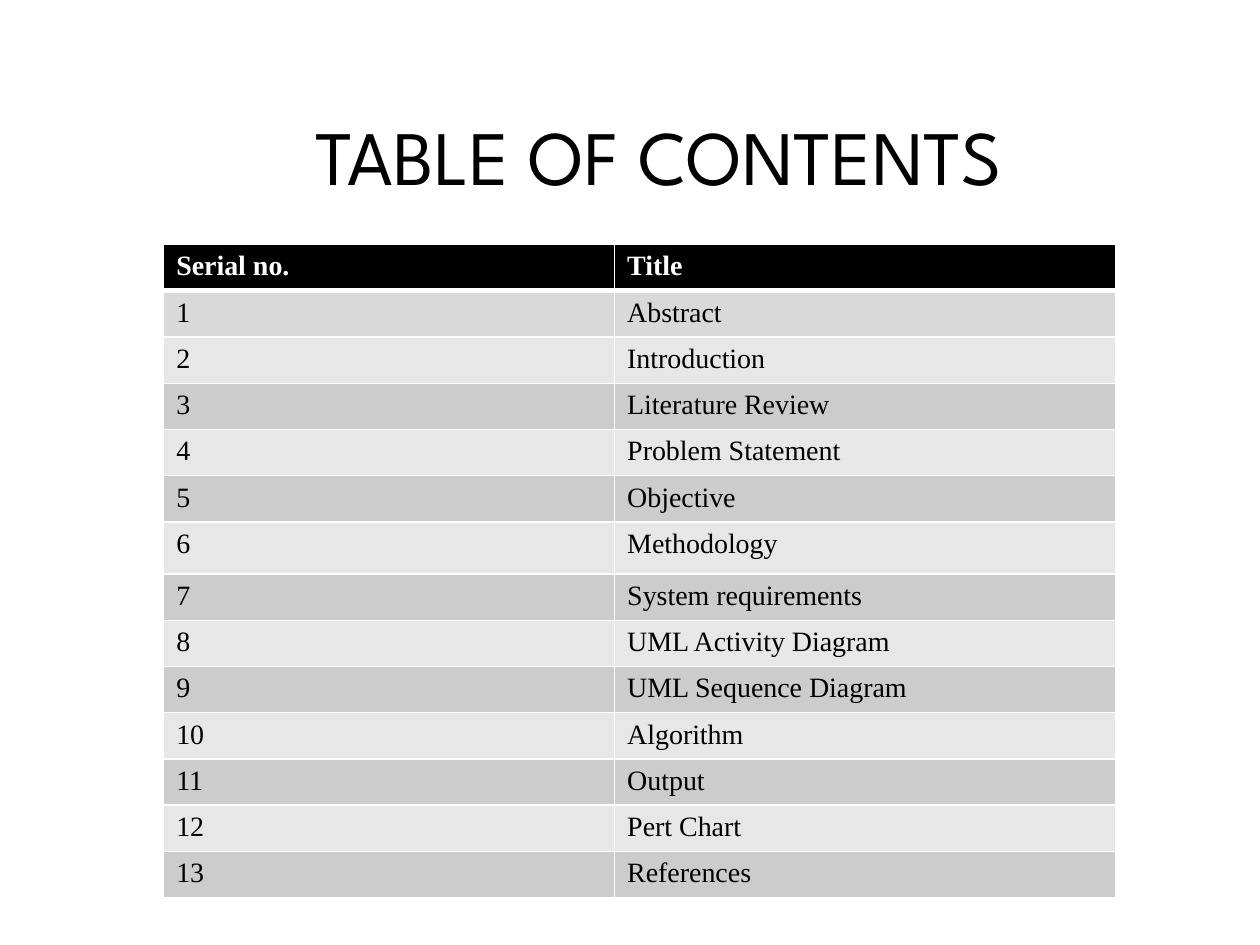
import dataclasses

import pptx
import pptx.dml.color
import pptx.enum.text
import pptx.oxml
import pptx.oxml.ns
import pptx.util
from pptx.util import Cm


@dataclasses.dataclass(frozen=True)
class Theme:
    title_font: str = "League Spartan"
    body_font: str = "Times New Roman"
    title_size: int = 44
    body_size: int = 16
    black: str = "000000"
    white: str = "FFFFFF"
    first_row: str = "D9D9D9"
    odd_row: str = "CCCCCC"
    even_row: str = "E7E7E7"


theme = Theme()


def add_run(paragraph, text, font, size, color, bold=False):
    run = paragraph.add_run()
    run.text = text
    run.font.name = font
    run.font.size = pptx.util.Pt(size)
    run.font.bold = bold
    run.font.color.rgb = pptx.dml.color.RGBColor.from_string(color)


def add_borders(cell, widths):
    """Give a cell white borders; widths maps each side (L, R, T, B) to points."""
    properties = cell._tc.get_or_add_tcPr()
    for side, width in widths.items():
        properties.append(pptx.oxml.parse_xml(
            f'<a:ln{side} {pptx.oxml.ns.nsdecls("a")} w="{pptx.util.Pt(width)}">'
            f'<a:solidFill><a:srgbClr val="{theme.white}"/></a:solidFill></a:ln{side}>'
        ))


presentation = pptx.Presentation()
presentation.slide_width = Cm(25.4)
presentation.slide_height = Cm(19.05)
slide = presentation.slides.add_slide(presentation.slide_layouts[6])

# Title, set slightly right of centre by its left margin
title = slide.shapes.add_textbox(Cm(1.09), Cm(1.52), Cm(22.86), Cm(3.18))
frame = title.text_frame
frame.word_wrap = True
frame.vertical_anchor = pptx.enum.text.MSO_ANCHOR.MIDDLE
frame.margin_left = Cm(1.8)
paragraph = frame.paragraphs[0]
paragraph.alignment = pptx.enum.text.PP_ALIGN.CENTER
add_run(paragraph, "TABLE OF CONTENTS", theme.title_font, theme.title_size, theme.black)

# Contents table
chapters = [
    "Abstract", "Introduction", "Literature Review", "Problem Statement",
    "Objective", "Methodology", "System requirements", "UML Activity Diagram",
    "UML Sequence Diagram", "Algorithm", "Output", "Pert Chart", "References",
]
rows = [("Serial no.", "Title")]
rows += [(str(number), chapter) for number, chapter in enumerate(chapters, start=1)]
column_widths = [Cm(9.09), Cm(10.11)]
row_heights = [Cm(0.91)] * len(rows)
row_heights[chapters.index("Methodology") + 1] = Cm(1.05)

table = slide.shapes.add_table(
    len(rows), len(column_widths), Cm(3.3), Cm(4.93),
    sum(column_widths), sum(row_heights),
).table
for column, width in zip(table.columns, column_widths):
    column.width = width

for row_index, texts in enumerate(rows):
    table.rows[row_index].height = row_heights[row_index]
    is_header = row_index == 0
    if is_header:
        fill_color = theme.black
    elif row_index == 1:
        fill_color = theme.first_row
    else:
        fill_color = theme.odd_row if row_index % 2 else theme.even_row
    borders = {"L": 1, "R": 1, "T": 3 if row_index == 1 else 1, "B": 3 if is_header else 1}

    for column_index, text in enumerate(texts):
        cell = table.cell(row_index, column_index)
        add_borders(cell, borders)
        cell.fill.solid()
        cell.fill.fore_color.rgb = pptx.dml.color.RGBColor.from_string(fill_color)
        add_run(
            cell.text_frame.paragraphs[0], text, theme.body_font, theme.body_size,
            theme.white if is_header else theme.black, bold=is_header,
        )

presentation.save("out.pptx")
